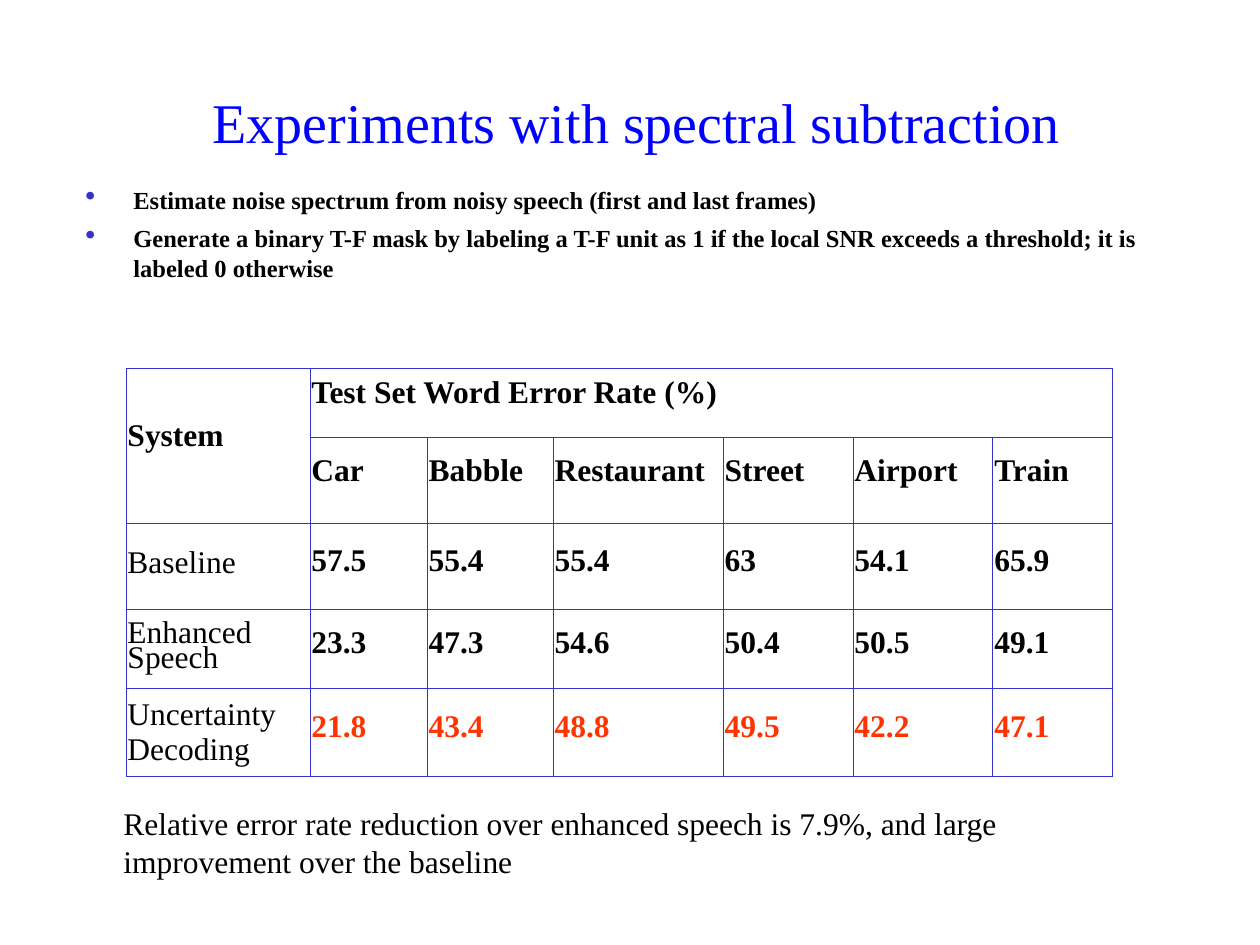
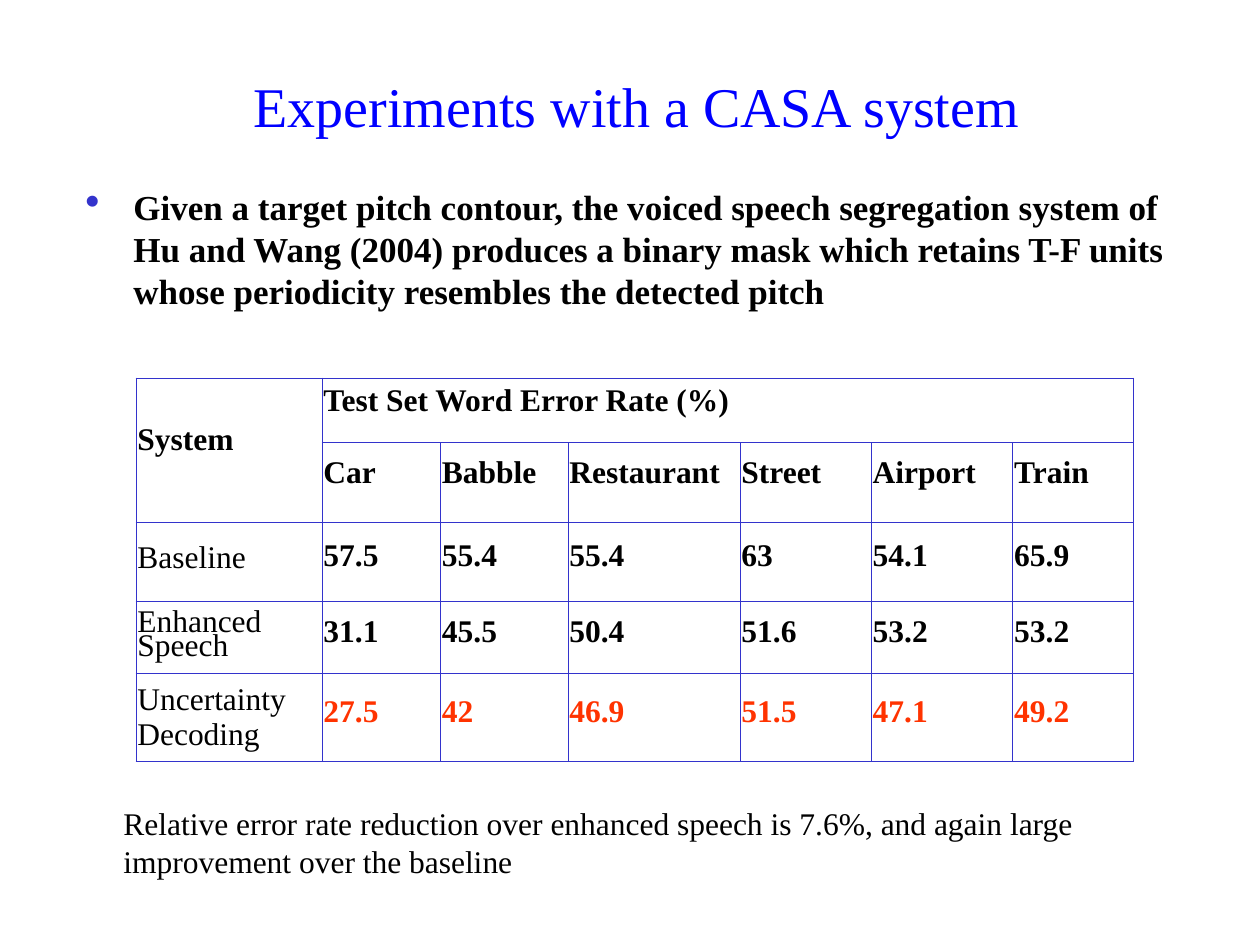
from lxml import etree
from pptx import Presentation
from pptx import util as u
from pptx.dml import color
from pptx.enum import text
from pptx.oxml import ns

COLORS = {"title": "0000FF", "body": "000000", "accent": "3333CC", "best": "FF3300"}
FONT = "Times New Roman"
INDENT = u.Cm(0.97)
NOISES = ["Car", "Babble", "Restaurant", "Street", "Airport", "Train"]
COLUMN_SHARES = [1.46, 0.93, 1, 1.35, 1.03, 1.11, 0.95]
BASELINE = ["57.5", "55.4", "55.4", "63", "54.1", "65.9"]


def add_xml(parent, tag, **attributes):
    return etree.SubElement(parent, ns.qn(tag), attributes)


class Deck:
    """Holds the shared style, the presentation and the current slide."""

    def __init__(self):
        self.presentation = Presentation()
        self.presentation.slide_width = u.Cm(25.4)
        self.presentation.slide_height = u.Cm(19.05)
        self.slide = None

    def new_slide(self):
        self.slide = self.presentation.slides.add_slide(self.presentation.slide_layouts[6])

    def run(self, paragraph, words, size, shade="body", bold=False):
        run = paragraph.add_run()
        run.text = words
        run.font.name = FONT
        run.font.size = u.Pt(size)
        run.font.bold = bold
        run.font.color.rgb = color.RGBColor.from_string(COLORS[shade])

    def frame(self, left, top, width, height):
        """Add a wrapping text box and return its text frame."""
        box = self.slide.shapes.add_textbox(u.Cm(left), u.Cm(top), u.Cm(width), u.Cm(height))
        box.text_frame.word_wrap = True
        return box.text_frame

    def title(self, words, top, height):
        frame = self.frame(1.55, top, 22.58, height)
        frame.vertical_anchor = text.MSO_ANCHOR.MIDDLE
        paragraph = frame.paragraphs[0]
        paragraph.alignment = text.PP_ALIGN.CENTER
        self.run(paragraph, words, 32, "title")

    def bullets(self, items, size, height):
        frame = self.frame(1.47, 3.61, 22.83, height)
        for index, item in enumerate(items):
            paragraph = frame.add_paragraph() if index else frame.paragraphs[0]
            paragraph.space_before = u.Pt(5)
            properties = paragraph._p.get_or_add_pPr()
            properties.set("marL", str(INDENT))
            properties.set("indent", str(-INDENT))
            add_xml(add_xml(properties, "a:buClr"), "a:srgbClr", val=COLORS["accent"])
            add_xml(properties, "a:buSzPct", val="120000")
            add_xml(properties, "a:buChar", char="•")
            self.run(paragraph, item, size, bold=True)

    def caption(self, words):
        paragraph = self.frame(1.27, 16.08, 22.23, 1.78).paragraphs[0]
        paragraph.space_before = u.Pt(4.5)
        paragraph._p.get_or_add_pPr().set("marL", str(INDENT))
        self.run(paragraph, words, 18)

    def style_cell(self, cell):
        cell.margin_left = cell.margin_right = u.Cm(0.03)
        cell.margin_top = cell.margin_bottom = u.Cm(0.13)
        cell.vertical_anchor = text.MSO_ANCHOR.MIDDLE
        for side in "LRTB":
            line = add_xml(cell._tc.get_or_add_tcPr(), f"a:ln{side}", w=str(u.Pt(0.45)))
            add_xml(add_xml(line, "a:solidFill"), "a:srgbClr", val=COLORS["accent"])
        cell.fill.background()

    def error_table(self, left, top, width, row_heights, enhanced, uncertainty):
        rows = [
            ["System", "Test Set Word Error Rate (%)"] + [""] * 5,
            [""] + NOISES,
            ["Baseline"] + BASELINE,
            ["Enhanced Speech"] + enhanced,
            ["Uncertainty Decoding"] + uncertainty,
        ]
        last = len(rows) - 1
        table = self.slide.shapes.add_table(
            len(rows), len(COLUMN_SHARES), u.Cm(left), u.Cm(top),
            u.Cm(width), u.Cm(sum(row_heights))).table
        table.first_row = table.horz_banding = False
        for column, share in zip(table.columns, COLUMN_SHARES):
            column.width = u.Cm(width * share / sum(COLUMN_SHARES))
        for row, height in zip(table.rows, row_heights):
            row.height = u.Cm(height)
        for r, values in enumerate(rows):
            for c, value in enumerate(values):
                cell = table.cell(r, c)
                self.style_cell(cell)
                if not value:
                    continue
                is_header, is_label = r < 2, c == 0
                if is_header:
                    spacing, before = 0.1, 2.2
                elif not is_label:
                    spacing, before = 0.5, 11.2
                elif r < last:
                    spacing, before = 0.7, 15.8
                else:
                    spacing, before = None, 11.2
                paragraph = cell.text_frame.paragraphs[0]
                paragraph.line_spacing = spacing
                paragraph.space_before = u.Pt(before)
                shade = "best" if r == last and not is_label else "body"
                self.run(paragraph, value, 18, shade, bold=is_header or not is_label)
        table.cell(0, 0).merge(table.cell(1, 0))
        table.cell(0, 1).merge(table.cell(0, len(NOISES)))


def spectral_subtraction_slide(deck):
    deck.new_slide()
    deck.title("Experiments with spectral subtraction", 1.7, 1.47)
    deck.error_table(
        2.54, 7.42, 19.89, [1.4, 1.73, 1.73, 1.59, 1.59],
        ["23.3", "47.3", "54.6", "50.4", "50.5", "49.1"],
        ["21.8", "43.4", "48.8", "49.5", "42.2", "47.1"])
    deck.bullets([
        "Estimate noise spectrum from noisy speech (first and last frames)",
        "Generate a binary T-F mask by labeling a T-F unit as 1 if the local SNR "
        "exceeds a threshold; it is labeled 0 otherwise",
    ], 14, 2.34)
    deck.caption("Relative error rate reduction over enhanced speech is 7.9%, "
                 "and large improvement over the baseline")


def casa_slide(deck):
    deck.new_slide()
    deck.title("Experiments with a CASA system", 1.07, 2.11)
    deck.error_table(
        2.74, 7.62, 20.12, [1.3, 1.6, 1.6, 1.45, 1.57],
        ["31.1", "45.5", "50.4", "51.6", "53.2", "53.2"],
        ["27.5", "42", "46.9", "51.5", "47.1", "49.2"])
    deck.bullets([
        "Given a target pitch contour, the voiced speech segregation system of Hu and "
        "Wang (2004) produces a binary mask which retains T-F units whose periodicity "
        "resembles the detected pitch",
    ], 20, 3.12)
    deck.caption("Relative error rate reduction over enhanced speech is 7.6%, "
                 "and again large improvement over the baseline")


def main():
    deck = Deck()
    spectral_subtraction_slide(deck)
    casa_slide(deck)
    deck.presentation.save("out.pptx")


if __name__ == "__main__":
    main()
